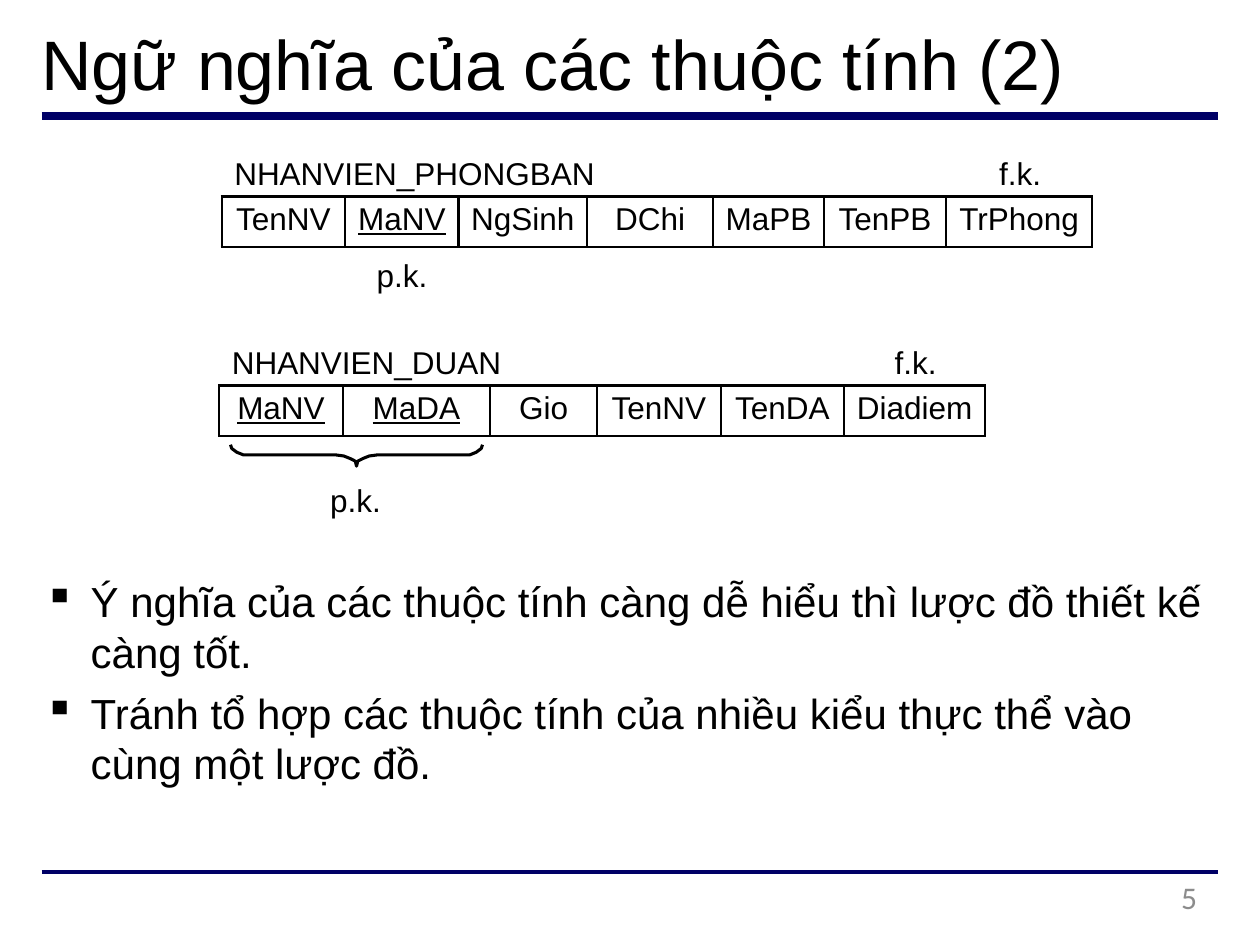
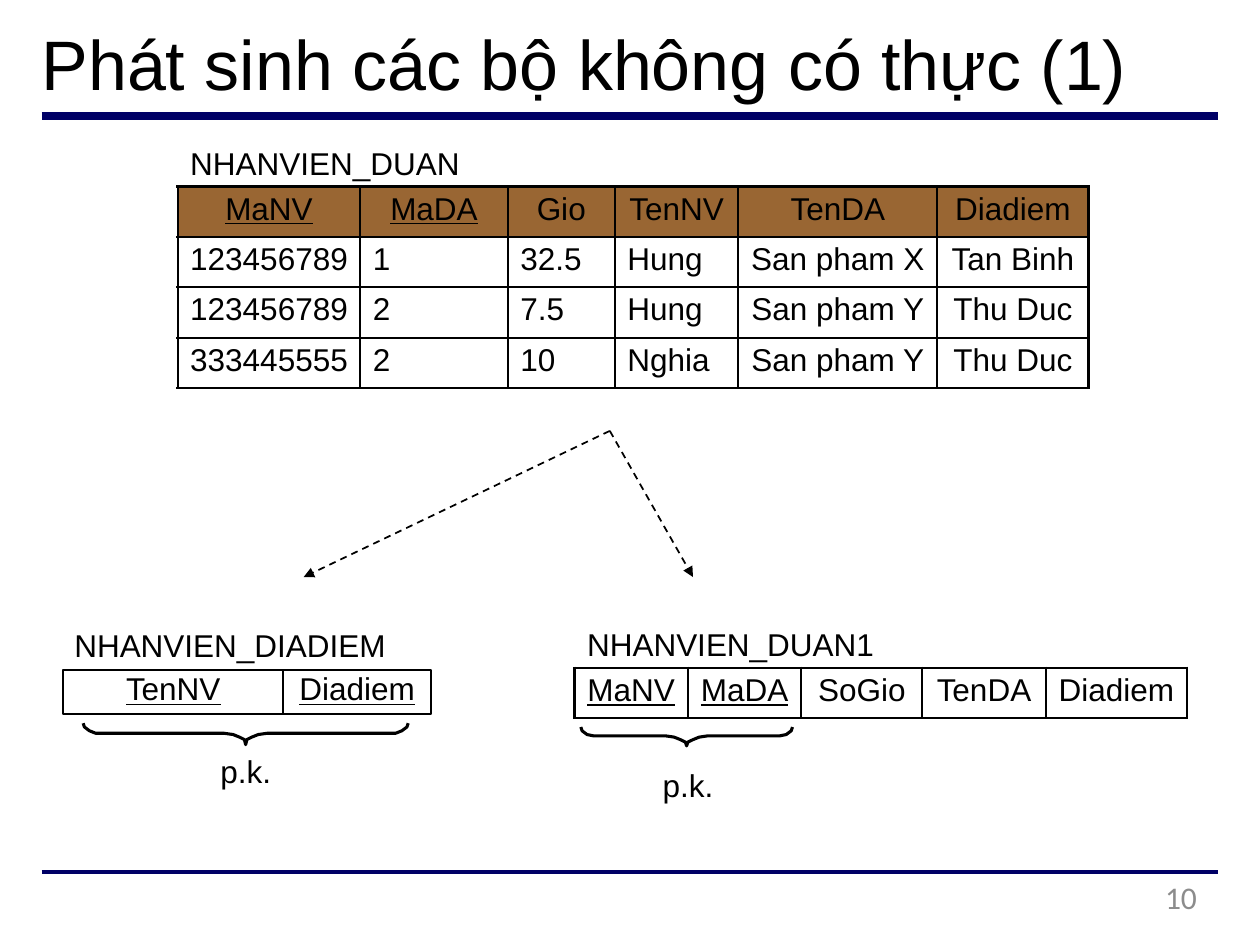
import lxml.etree
import pptx
import pptx.dml.color
import pptx.enum.dml
import pptx.enum.shapes
import pptx.enum.text
import pptx.oxml.ns
import pptx.util

PX = 9144  # EMU in one px, 100 px to the inch
BLACK = pptx.dml.color.RGBColor(0x00, 0x00, 0x00)
NAVY = pptx.dml.color.RGBColor(0x00, 0x00, 0x66)
BROWN = pptx.dml.color.RGBColor(0x99, 0x66, 0x33)
GRAY = pptx.dml.color.RGBColor(0x8C, 0x8C, 0x8C)
ALIGN = pptx.enum.text.PP_ALIGN
ROW_HEIGHT = 40
KEYS = {"MaNV", "MaDA"}


def add_xml(parent, tag, **attributes):
    return lxml.etree.SubElement(parent, pptx.oxml.ns.qn(tag), attributes)


def write(frame, text, size=18, font="Arial", color=BLACK, align=ALIGN.LEFT,
          underline=False, bullet=False, gap=0, leading=None):
    """Fill a text frame, one paragraph for each line of text."""
    frame.word_wrap = True
    for index, line in enumerate(text.split("\n")):
        para = frame.paragraphs[0] if index == 0 else frame.add_paragraph()
        if bullet:
            props = para._p.get_or_add_pPr()
            props.set("marL", str(39 * PX))
            props.set("indent", str(-37 * PX))
            add_xml(props, "a:buChar", char="▪")
        para.alignment = align
        if index:
            para.space_before = pptx.util.Pt(gap)
        if leading:
            para.line_spacing = pptx.util.Pt(leading)
        span = para.add_run()
        span.text = line
        span.font.size = pptx.util.Pt(size)
        span.font.name = font
        span.font.color.rgb = color
        span.font.underline = underline


class Painter:
    def __init__(self):
        self.deck = pptx.Presentation()
        self.deck.slide_width = 1000 * PX
        self.deck.slide_height = 750 * PX
        self.page = None

    def start(self, title, number):
        """Open a slide with its title, rules and page number."""
        self.page = self.deck.slides.add_slide(self.deck.slide_layouts[6])
        self.line(33, 92, 967, 92, color=NAVY, width=4.5)
        self.line(33, 692, 967, 692, color=NAVY, width=2.25)
        self.text(title, 33, 15, 924, 69, size=40)
        self.text(str(number), 720, 696, 230, 38, font="Calibri",
                  color=GRAY, align=ALIGN.RIGHT)

    def text(self, text, left, top, width, height=33, **style):
        box = self.page.shapes.add_textbox(left * PX, top * PX, width * PX, height * PX)
        frame = box.text_frame
        frame.margin_left = frame.margin_right = frame.margin_bottom = 0
        frame.margin_top = PX
        write(frame, text, **style)

    def line(self, x1, y1, x2, y2, color=BLACK, width=1.0, arrow=False):
        line = self.page.shapes.add_connector(
            pptx.enum.shapes.MSO_CONNECTOR.STRAIGHT, x1 * PX, y1 * PX, x2 * PX, y2 * PX)
        line.line.color.rgb = color
        line.line.width = pptx.util.Pt(width)
        if arrow:
            line.line.dash_style = pptx.enum.dml.MSO_LINE.DASH
            add_xml(line.line._get_or_add_ln(), "a:tailEnd", type="triangle")
        add_xml(line._element.spPr, "a:effectLst")

    def brace(self, left, top, width, height=17):
        """Draw a flat brace that points down; its right half mirrors the left."""
        middle, waist = width // 2, height // 2
        half = [(0, 0), (1, 3), (5, 6), (10, waist), (17, waist),
                (middle - 17, waist), (middle - 10, waist + 1),
                (middle - 5, waist + 3), (middle - 1, waist + 5)]
        points = half + [(middle, height)] + [(width - x, y) for x, y in reversed(half)]
        points = [(left + x, top + y) for x, y in points]
        builder = self.page.shapes.build_freeform(*points[0], scale=PX)
        builder.add_line_segments(points[1:], close=False)
        brace = builder.convert_to_shape()
        brace.shadow.inherit = False
        brace.fill.background()
        brace.line.color.rgb = BLACK
        brace.line.width = pptx.util.Pt(1.75)

    def box(self, text, left, top, width, height):
        box = self.page.shapes.add_shape(
            pptx.enum.shapes.MSO_SHAPE.RECTANGLE, left * PX, top * PX, width * PX, height * PX)
        box.shadow.inherit = False
        box.fill.background()
        box.line.color.rgb = BLACK
        box.line.width = pptx.util.Pt(1.11)
        frame = box.text_frame
        frame.margin_left = frame.margin_right = frame.margin_top = frame.margin_bottom = 0
        frame.vertical_anchor = pptx.enum.text.MSO_ANCHOR.TOP
        write(frame, text, align=ALIGN.CENTER, underline=True, leading=21.1)

    def table(self, rows, left, top, widths, header=None, left_columns=()):
        """Draw a relation; the first row names the attributes."""
        table = self.page.shapes.add_table(
            len(rows), len(widths), left * PX, top * PX,
            sum(widths) * PX, len(rows) * ROW_HEIGHT * PX).table
        table.first_row = table.horz_banding = False
        for column, width in zip(table.columns, widths):
            column.width = width * PX
        for r, row in enumerate(rows):
            table.rows[r].height = ROW_HEIGHT * PX
            for c, value in enumerate(row):
                cell = table.cell(r, c)
                to_left = r > 0 and c in left_columns
                cell.margin_left = 10 * PX if to_left else 0
                cell.margin_right = cell.margin_bottom = 0
                cell.margin_top = 4 * PX
                write(cell.text_frame, value, underline=value in KEYS,
                      align=ALIGN.LEFT if to_left else ALIGN.CENTER)
                self.border(cell)
                if header and r == 0:
                    cell.fill.solid()
                    cell.fill.fore_color.rgb = header
                else:
                    cell.fill.background()

    @staticmethod
    def border(cell):
        props = cell._tc.get_or_add_tcPr()
        for side in "LRTB":
            edge = add_xml(props, "a:ln" + side, w=str(pptx.util.Pt(1.5)))
            add_xml(add_xml(edge, "a:solidFill"), "a:srgbClr", val=str(BLACK))


def attribute_meaning(painter):
    painter.start("Ngữ nghĩa của các thuộc tính (2)", 5)

    # Employee and department relation
    painter.text("NHANVIEN_PHONGBAN", 186, 121, 400)
    painter.text("f.k.", 793, 121, 50)
    painter.table([["TenNV", "MaNV", "NgSinh", "DChi", "MaPB", "TenPB", "TrPhong"]],
                  176, 156, [98, 90, 102, 100, 88, 97, 116])
    painter.text("p.k.", 299, 202, 50)

    # Employee and project relation
    painter.text("NHANVIEN_DUAN", 184, 271, 300)
    painter.text("f.k.", 710, 271, 50)
    painter.table([["MaNV", "MaDA", "Gio", "TenNV", "TenDA", "Diadiem"]],
                  174, 306, [98, 117, 85, 98, 98, 112])
    painter.brace(183, 353, 200)
    painter.text("p.k.", 262, 381, 50)

    # Design advice
    painter.text("Ý nghĩa của các thuộc tính càng dễ hiểu thì lược đồ thiết kế càng tốt.\n"
                 "Tránh tổ hợp các thuộc tính của nhiều kiểu thực thể vào cùng một lược đồ.",
                 33, 456, 922, 169, size=24, bullet=True, gap=6)


def spurious_tuples(painter):
    painter.start("Phát sinh các bộ không có thực (1)", 10)

    # Source relation
    painter.text("NHANVIEN_DUAN", 151, 113, 300)
    painter.table([["MaNV", "MaDA", "Gio", "TenNV", "TenDA", "Diadiem"],
                   ["123456789", "1", "32.5", "Hung", "San pham X", "Tan Binh"],
                   ["123456789", "2", "7.5", "Hung", "San pham Y", "Thu Duc"],
                   ["333445555", "2", "10", "Nghia", "San pham Y", "Thu Duc"]],
                  141, 148, [145, 117, 85, 98, 158, 120],
                  header=BROWN, left_columns=(1, 2, 3))

    # Split into two relations
    for x in (241, 550):
        painter.line(484, 342, x, 458, arrow=True)

    # Employee and place relation
    painter.text("NHANVIEN_DIADIEM", 59, 496, 300)
    painter.box("TenNV", 50, 532, 175, 35)
    painter.box("Diadiem", 225, 532, 117, 35)
    painter.brace(66, 574, 258)
    painter.text("p.k.", 175, 596, 50)

    # Reduced project relation
    painter.text("NHANVIEN_DUAN1", 466, 495, 300)
    painter.table([["MaNV", "MaDA", "SoGio", "TenDA", "Diadiem"]],
                  456, 530, [90, 90, 96, 98, 112])
    painter.brace(461, 577, 168, 15)
    painter.text("p.k.", 526, 607, 50)


def main():
    painter = Painter()
    attribute_meaning(painter)
    spurious_tuples(painter)
    painter.deck.save("out.pptx")


if __name__ == "__main__":
    main()
